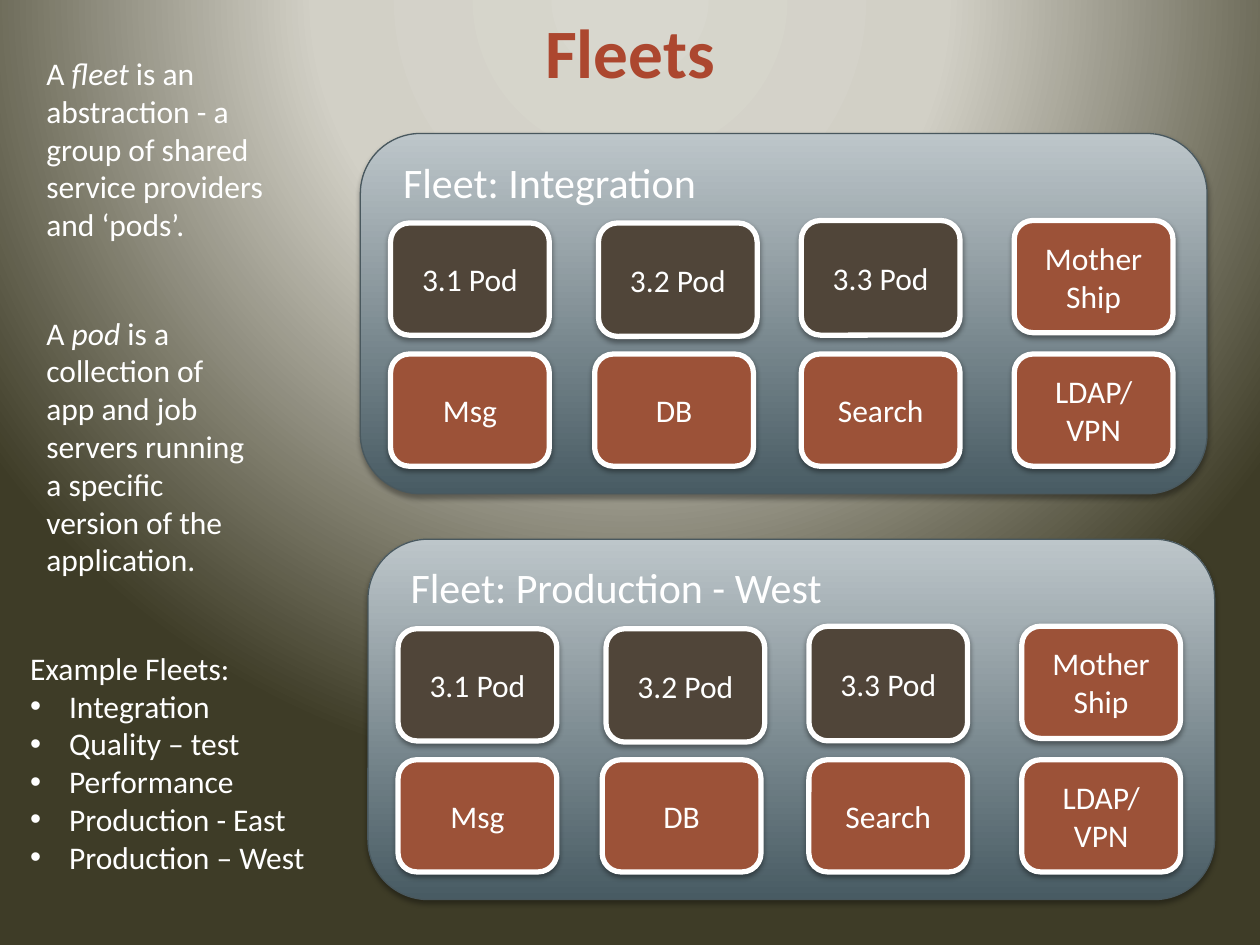
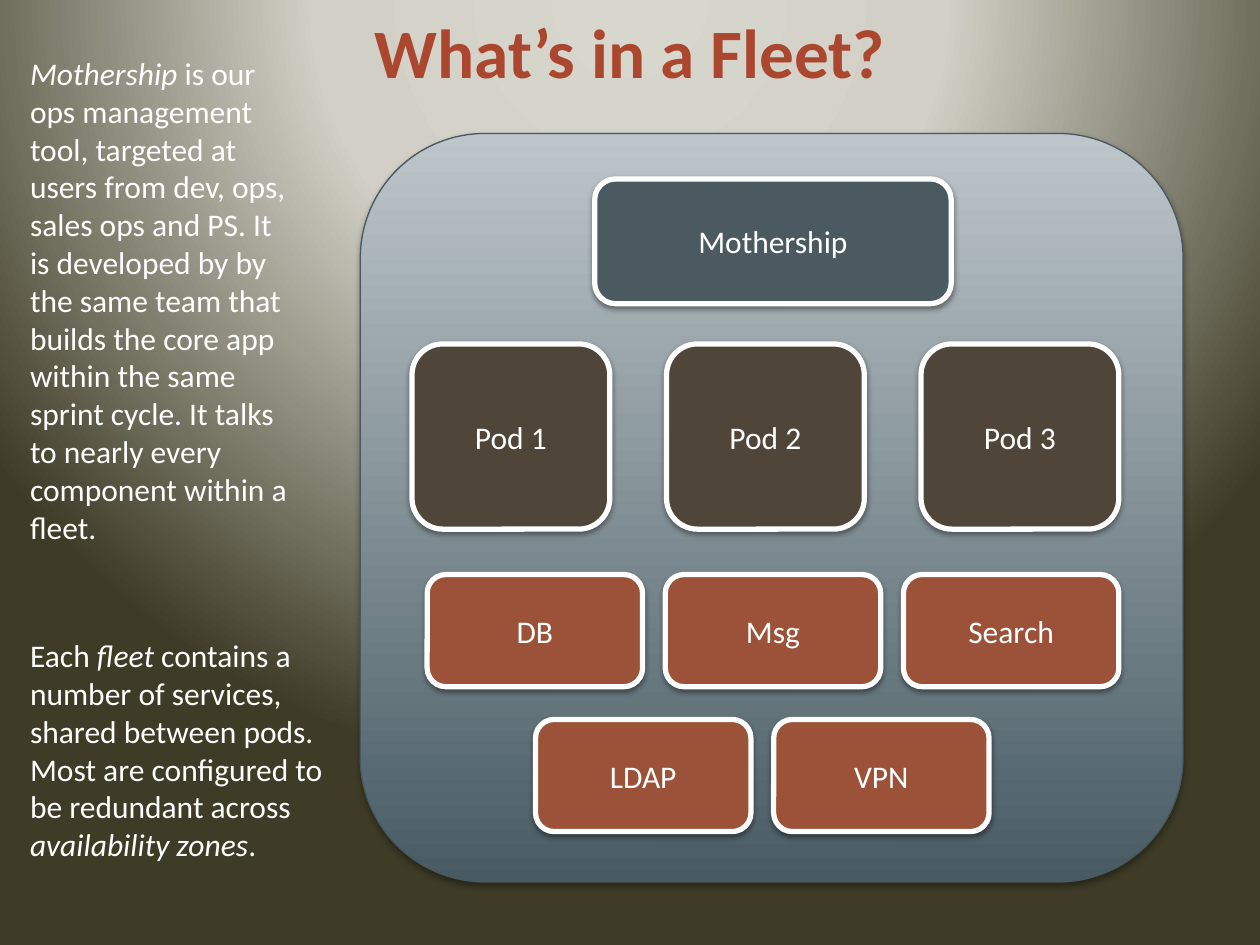
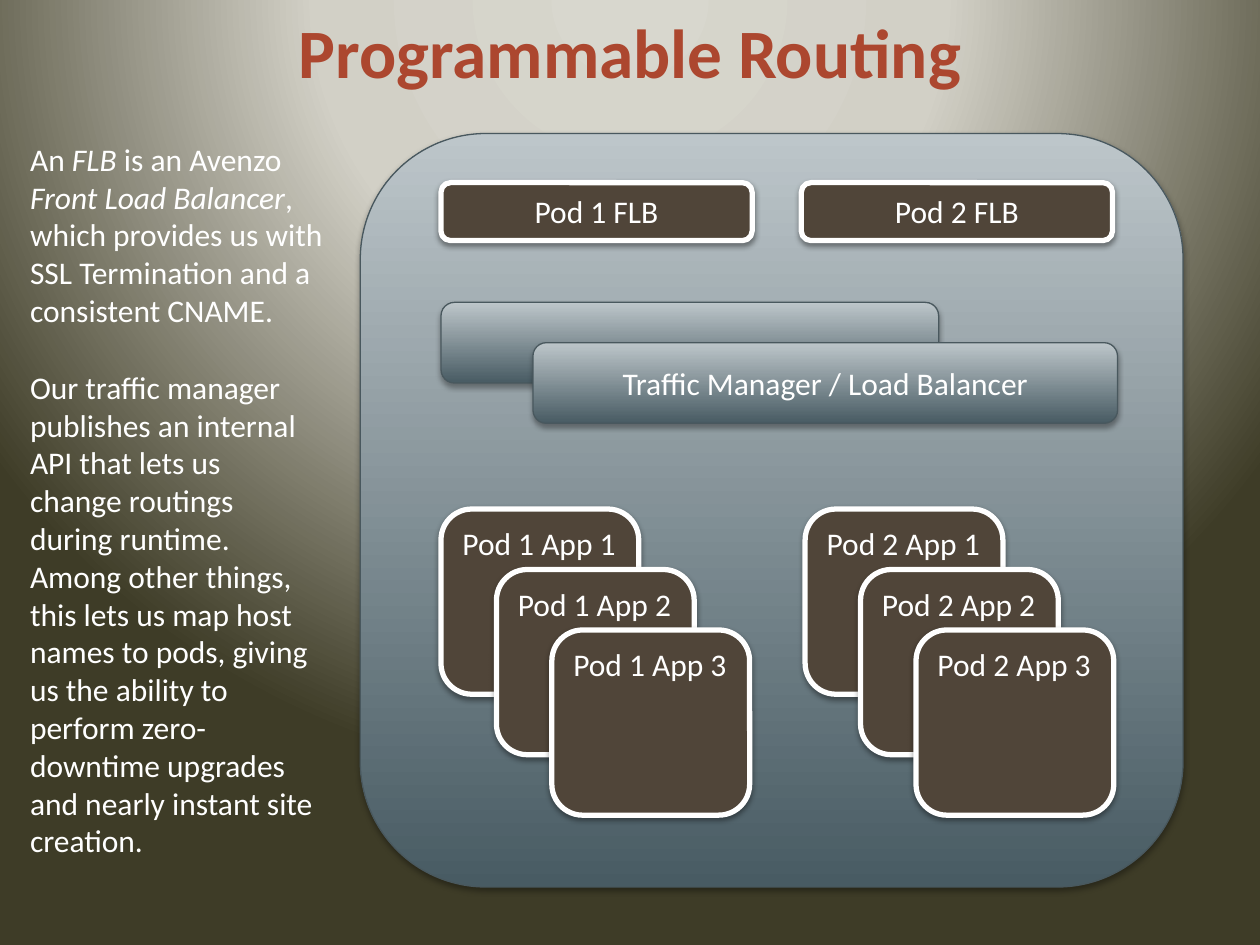
import pptx
import pptx.dml.color
import pptx.enum.shapes
import pptx.enum.text
import pptx.oxml
import pptx.oxml.ns
import pptx.util

Inches = pptx.util.Inches
Pt = pptx.util.Pt
RGB = pptx.dml.color.RGBColor.from_string
ALIGN = pptx.enum.text.PP_ALIGN
ANCHOR = pptx.enum.text.MSO_ANCHOR
qn = pptx.oxml.ns.qn
NAMESPACE = pptx.oxml.ns.nsdecls("a")

FONT = "Calibri"
COLORS = {
    "title": "AC472F",
    "text": "FFFFFF",
    "pod": "504539",
    "service": "9C5238",
    "tool": "4B5A60",
    "panel_dark": "485B63",
    "panel_light": "BDC6CA",
    "panel_line": "49585E",
    "shadow": "000000",
}
BACKGROUND_STOPS = [(0, "D8D7CE"), (40, "D2D0C6"), (100, "3E3C27")]


def write(shape, text, size=18, align=ALIGN.LEFT, anchor=ANCHOR.TOP, color="text", bold=False):
    """Fill a shape with text; parts between asterisks are italic."""
    frame = shape.text_frame
    frame.word_wrap = True
    frame.vertical_anchor = anchor
    frame.text = text.replace("*", "")
    for paragraph, line in zip(frame.paragraphs, text.split("\n")):
        paragraph.alignment = align
        parts = line.split("*")
        paragraph.runs[0].text = parts[0]
        for part in parts[1:]:
            paragraph.add_run().text = part
        for index, run in enumerate(paragraph.runs):
            run.font.name = FONT
            run.font.size = Pt(size)
            run.font.bold = bold
            run.font.italic = index % 2 == 1
            run.font.color.rgb = RGB(COLORS[color])


def add_box(slide, left, top, width, height, kind="panel", text="", align=ALIGN.CENTER, anchor=ANCHOR.MIDDLE):
    """Add a rounded box: a gradient panel, or a flat one with a white outline."""
    shape = slide.shapes.add_shape(
        pptx.enum.shapes.MSO_SHAPE.ROUNDED_RECTANGLE,
        Inches(left), Inches(top), Inches(width), Inches(height))
    if kind == "panel":
        shape.fill.gradient()
        shape.fill.gradient_angle = 90
        for stop, position, name in zip(shape.fill.gradient_stops, (0, 1), ("panel_dark", "panel_light")):
            stop.position = position
            stop.color.rgb = RGB(COLORS[name])
        line_color, line_width, opacity, distance = "panel_line", 0.75, 35, 1.8
    else:
        shape.fill.solid()
        shape.fill.fore_color.rgb = RGB(COLORS[kind])
        line_color, line_width, opacity, distance = "text", 3, 38, 1.6
    shape.line.color.rgb = RGB(COLORS[line_color])
    shape.line.width = Pt(line_width)
    shape.shadow.inherit = False
    shape.element.spPr.find(qn("a:effectLst")).append(pptx.oxml.parse_xml(
        f'<a:outerShdw {NAMESPACE} blurRad="{Pt(3.1)}" dist="{Pt(distance)}" dir="5400000" rotWithShape="0">'
        f'<a:srgbClr val="{COLORS["shadow"]}"><a:alpha val="{opacity * 1000}"/></a:srgbClr></a:outerShdw>'))
    if text:
        write(shape, text, align=align, anchor=anchor)


presentation = pptx.Presentation()
presentation.slide_width = Inches(10)
presentation.slide_height = Inches(7.5)

# Shared background: a round glow from above the slide
master = presentation.slide_master
master.background.fill.gradient()
gradient = master.element.find(".//" + qn("a:gradFill"))
gradient.clear()
stops = "".join(
    f'<a:gs pos="{position * 1000}"><a:srgbClr val="{color}"/></a:gs>'
    for position, color in BACKGROUND_STOPS)
gradient.append(pptx.oxml.parse_xml(f"<a:gsLst {NAMESPACE}>{stops}</a:gsLst>"))
gradient.append(pptx.oxml.parse_xml(
    f'<a:path {NAMESPACE} path="circle">'
    '<a:fillToRect l="50000" t="-80000" r="50000" b="180000"/></a:path>'))

# Titles and side texts: left, top, width, height, text
pages = [
    ("Fleets", [
        (0.27, 0.38, 2.17, 1.62,
         "A *fleet* is an abstraction - a group of shared service providers and ‘pods’."),
        (0.27, 2.44, 1.77, 2.22,
         "A *pod* is a collection of app and job servers running a specific version of the application."),
        (0.14, 5.1, 2.62, 2.22,
         "Example Fleets:\nIntegration\nQuality – test\nPerformance\nProduction - East\nProduction – West"),
    ]),
    ("What’s in a Fleet?", [
        (0.14, 0.38, 2.3, 4.04,
         "*Mothership* is our ops management tool, targeted at users from dev, ops, sales ops and PS. "
         "It is developed by by the same team that builds the core app within the same sprint cycle. "
         "It talks to nearly every component within a fleet."),
        (0.14, 5, 2.62, 1.92,
         "Each *fleet *contains a number of services, shared between pods. "
         "Most are configured to be redundant across *availability zones*."),
    ]),
    ("Programmable Routing", [
        (0.14, 1.06, 2.72, 1.62,
         "An *FLB* is an Avenzo *Front Load Balancer*, "
         "which provides us with SSL Termination and a consistent CNAME."),
        (0.14, 2.87, 2.47, 4.04,
         "Our traffic manager publishes an internal API that lets us change routings during runtime. "
         "Among other things, this lets us map host names to pods, giving us the ability to perform "
         "zero-downtime upgrades and nearly instant site creation."),
    ]),
]
slides = []
for title, side_texts in pages:
    slide = presentation.slides.add_slide(presentation.slide_layouts[6])
    slides.append(slide)
    title_box = slide.shapes.add_textbox(Inches(0.5), Inches(0.02), Inches(9), Inches(0.76))
    write(title_box, title, 39.6, ALIGN.CENTER, ANCHOR.MIDDLE, "title", True)
    for left, top, width, height, text in side_texts:
        text_box = slide.shapes.add_textbox(Inches(left), Inches(top), Inches(width), Inches(height))
        write(text_box, text)
        text_box.text_frame.auto_size = pptx.enum.text.MSO_AUTO_SIZE.SHAPE_TO_FIT_TEXT
        # Lines below a heading are bullets
        for paragraph in text_box.text_frame.paragraphs[1:]:
            properties = paragraph._p.get_or_add_pPr()
            properties.set("marL", str(Inches(0.31)))
            properties.set("indent", str(-Inches(0.31)))
            properties.append(pptx.oxml.parse_xml(f'<a:buFont {NAMESPACE} typeface="Arial"/>'))
            properties.append(pptx.oxml.parse_xml(f'<a:buChar {NAMESPACE} char="•"/>'))
fleets_slide, contents_slide, routing_slide = slides

# Slide 1: two fleets with the same members, placed relative to the panel
members = [
    (0.24, 0.71, 0.89, "pod", "3.1 Pod"),
    (1.89, 0.71, 0.9, "pod", "3.2 Pod"),
    (3.5, 0.69, 0.91, "pod", "3.3 Pod"),
    (5.19, 0.69, 0.89, "service", "Mother\nShip"),
    (0.24, 1.75, 0.89, "service", "Msg"),
    (1.86, 1.75, 0.89, "service", "DB"),
    (3.5, 1.75, 0.89, "service", "Search"),
    (5.19, 1.75, 0.89, "service", "LDAP/VPN"),
]
for fleet_left, fleet_top, name in [(2.86, 1.06, "Integration"), (2.92, 4.28, "Production - West")]:
    add_box(fleets_slide, fleet_left, fleet_top, 6.72, 2.86)
    heading = fleets_slide.shapes.add_textbox(
        Inches(fleet_left + 0.24), Inches(fleet_top + 0.13), Inches(6.21), Inches(0.5))
    write(heading, f"Fleet: {name}", 24)
    for left, top, height, kind, text in members:
        add_box(fleets_slide, fleet_left + left, fleet_top + top, 1.26, height, kind, text)

# Slide 2: rows of one fleet: left, top, step, width, height, kind, names
add_box(contents_slide, 2.86, 1.06, 6.53, 5.94)
rows = [
    (4.72, 1.42, 0, 2.83, 0.99, "tool", ["Mothership"]),
    (3.27, 2.73, 2.02, 1.57, 1.47, "pod", ["Pod 1", "Pod 2", "Pod 3"]),
    (3.39, 4.56, 1.89, 1.71, 0.89, "service", ["DB", "Msg", "Search"]),
    (4.25, 5.71, 1.89, 1.71, 0.89, "service", ["LDAP", "VPN"]),
]
for left, top, step, width, height, kind, names in rows:
    for column, name in enumerate(names):
        add_box(contents_slide, left + column * step, top, width, height, kind, name)

# Slide 3: load balancers, traffic managers and stacked apps
add_box(routing_slide, 2.86, 1.06, 6.53, 5.98)
add_box(routing_slide, 3.5, 2.4, 3.95, 0.64)
add_box(routing_slide, 4.23, 2.72, 4.64, 0.64, text="Traffic Manager / Load Balancer")
for pod, balancer_left, stack_left in [(1, 3.5, 3.5), (2, 6.36, 6.39)]:
    add_box(routing_slide, balancer_left, 1.45, 2.47, 0.46, "pod", f"Pod {pod} FLB", anchor=ANCHOR.TOP)
    for app in range(3):
        add_box(routing_slide, stack_left + app * 0.44, 4.04 + app * 0.48, 1.57, 1.47, "pod",
                f"Pod {pod} App {app + 1}", ALIGN.LEFT, ANCHOR.TOP)

presentation.save("out.pptx")
